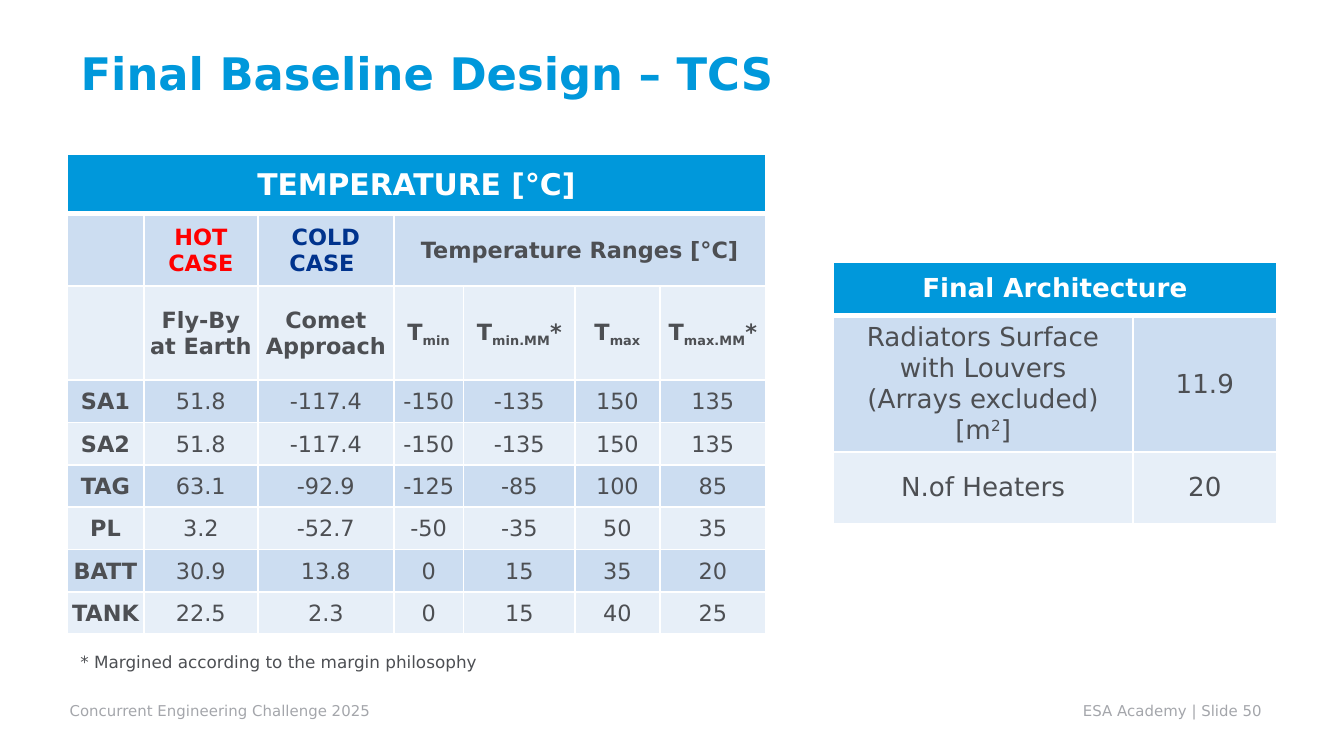
from lxml import etree
from pptx import Presentation
from pptx.dml.color import RGBColor
from pptx.enum.text import MSO_ANCHOR, PP_ALIGN
from pptx.oxml.ns import qn
from pptx.util import Inches, Pt

COLORS = {
    "blue": "0098DB", "band": "CCDDF1", "light": "E7EFF8", "white": "FFFFFF",
    "text": "4D4F53", "hot": "FF0000", "cold": "00338D", "footer": "A4A6AB",
}
FONT = "DejaVu Sans"
BASELINES = {"_": "-25000", "^": "30000"}


def write(tf, text, size, color, bold=False, align=PP_ALIGN.LEFT):
    for i, line in enumerate(text.split("\n")):
        p = tf.add_paragraph() if i else tf.paragraphs[0]
        p.alignment = align
        p.font.name = FONT
        p.font.size = Pt(size)
        p.font.bold = bold
        p.font.color.rgb = RGBColor.from_string(COLORS[color])
        for part in filter(None, line.split("~")):
            r = p.add_run()
            r.text = part.lstrip("_^")
            if part[0] in BASELINES:
                r._r.get_or_add_rPr().set("baseline", BASELINES[part[0]])


def add_grid(s, left, top, widths, heights):
    shape = s.shapes.add_table(len(heights), len(widths), Inches(left), Inches(top),
                               Inches(sum(widths)), Inches(sum(heights)))
    table = shape.table
    table.horz_banding = False
    for col, width in zip(table.columns, widths):
        col.width = Inches(width)
    for row, height in zip(table.rows, heights):
        row.height = Inches(height)
    for i, row in enumerate(table.rows):
        fill = "blue" if i == 0 else "band" if i % 2 else "light"
        for cell in row.cells:
            cell.vertical_anchor = MSO_ANCHOR.MIDDLE
            tcPr = cell._tc.get_or_add_tcPr()
            for side in "LRTB":
                thick = (i == 0 and side == "B") or (i == 1 and side == "T")
                ln = etree.SubElement(tcPr, qn(f"a:ln{side}"), w=str(Pt(3 if thick else 1)))
                solid = etree.SubElement(ln, qn("a:solidFill"))
                etree.SubElement(solid, qn("a:srgbClr"), val=COLORS["white"])
            cell.fill.solid()
            cell.fill.fore_color.rgb = RGBColor.from_string(COLORS[fill])
    table.cell(0, 0).merge(table.cell(0, len(widths) - 1))
    return table


prs = Presentation()
prs.slide_width = Inches(10)
prs.slide_height = Inches(10 * 9 / 16)
s = prs.slides.add_slide(prs.slide_layouts[5])

title = s.shapes.title
title.left, title.top, title.width, title.height = map(Inches, (0.5, 0.07, 9, 0.94))
title.text_frame.vertical_anchor = MSO_ANCHOR.MIDDLE
write(title.text_frame, "Final Baseline Design – TCS", 24, "blue", True)

temperatures = [
    ["TEMPERATURE [°C]"],
    ["", "HOT CASE", "COLD CASE ", "Temperature Ranges [°C]"],
    ["", "Fly-By at Earth", "Comet Approach", "T~_min", "T~_min.MM~*", "T~_max", "T~_max.MM~*"],
    ["SA1", "51.8", "-117.4", "-150", "-135", "150", "135"],
    ["SA2", "51.8", "-117.4", "-150", "-135", "150", "135"],
    ["TAG", "63.1", "-92.9", "-125", "-85", "100", "85"],
    ["PL", "3.2", "-52.7", "-50", "-35", "50", "35"],
    ["BATT", "30.9", "13.8", "0", "15", "35", "20"],
    ["TANK", "22.5", "2.3", "0", "15", "40", "25"],
]
case_colors = {(0, 0): "white", (1, 1): "hot", (1, 2): "cold"}
table = add_grid(s, 0.5, 1.15, [0.57, 0.85, 1.01, 0.52, 0.83, 0.63, 0.79],
                 [0.44, 0.54, 0.7] + [1.89 / 6] * 6)
table.cell(1, 3).merge(table.cell(1, 6))
for i, row in enumerate(temperatures):
    for j, text in enumerate(row):
        cell = table.cell(i, j)
        cell.margin_left = cell.margin_right = cell.margin_top = Inches(0.01)
        cell.margin_bottom = 0
        write(cell.text_frame, text, 12 if i else 16, case_colors.get((i, j), "text"),
              i < 3 or j == 0, PP_ALIGN.CENTER)

architecture = [
    ["Final Architecture"],
    ["Radiators Surface\nwith Louvers (Arrays excluded)\n[m~^2~]", "11.9"],
    ["N.of Heaters", "20"],
]
table = add_grid(s, 6.2, 1.95, [2.23, 1.07], [0.4, 1, 0.53])
for i, row in enumerate(architecture):
    for j, text in enumerate(row):
        cell = table.cell(i, j)
        cell.margin_left = cell.margin_right = Inches(0.18)
        write(cell.text_frame, text, 14, "text" if i else "white", i == 0, PP_ALIGN.CENTER)

notes = [
    ("* Margined according to the margin philosophy", 0.5, 4.8, 3.23, 0.25, 9, "text"),
    ("Concurrent Engineering Challenge 2025", 0.42, 5.17, 2.5, 0.21, 8, "footer"),
    ("ESA Academy | Slide 50", 7.96, 5.17, 1.6, 0.21, 8, "footer"),
]
for text, left, top, width, height, size, color in notes:
    sp = s.shapes.add_textbox(Inches(left), Inches(top), Inches(width), Inches(height))
    tf = sp.text_frame
    tf.word_wrap = True
    write(tf, text, size, color)

prs.save("out.pptx")
